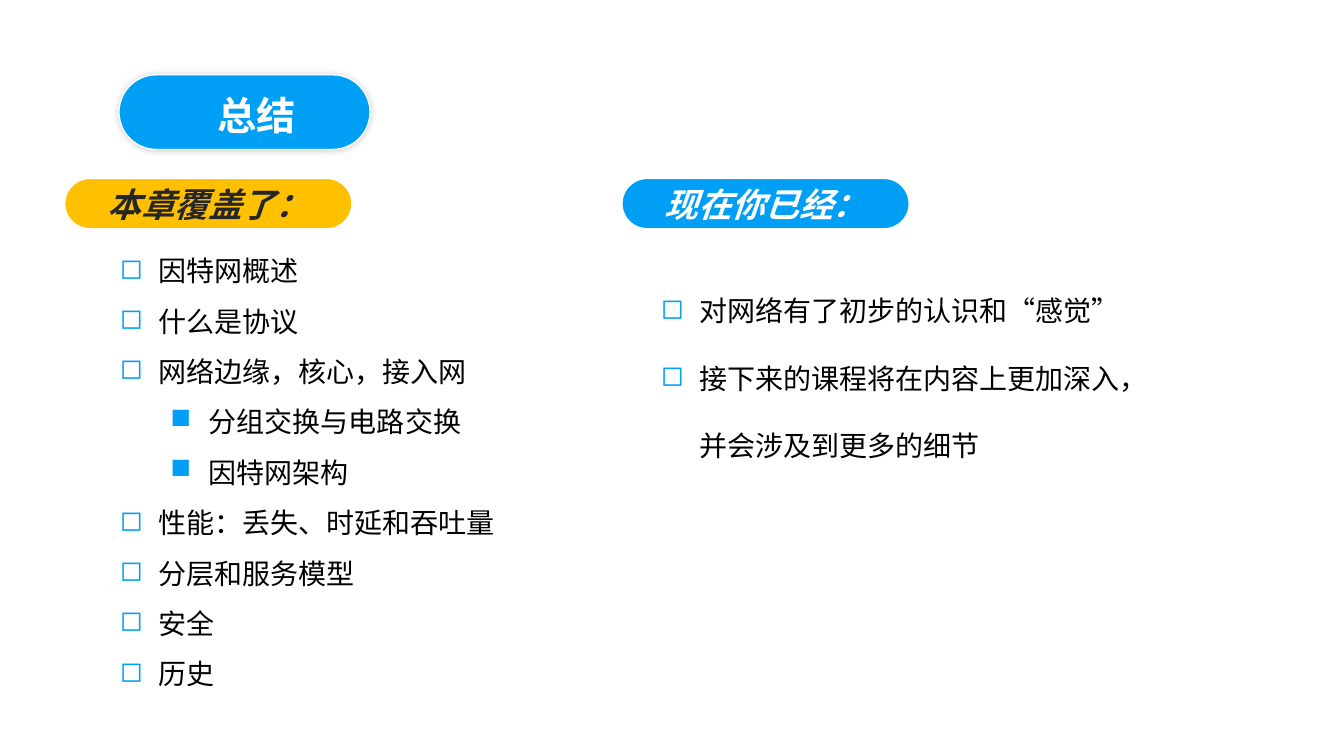
"""Build the chapter summary slide: a title pill and two headed bullet lists."""
from dataclasses import dataclass

from lxml import etree
from pptx import Presentation
from pptx.dml.color import RGBColor
from pptx.enum.shapes import MSO_SHAPE
from pptx.enum.text import MSO_ANCHOR, MSO_AUTO_SIZE, PP_ALIGN
from pptx.oxml import parse_xml
from pptx.oxml.ns import nsdecls, qn
from pptx.util import Inches, Pt

ROUNDED = MSO_SHAPE.ROUNDED_RECTANGLE
TOP, MIDDLE = MSO_ANCHOR.TOP, MSO_ANCHOR.MIDDLE
LEFT, CENTER = PP_ALIGN.LEFT, PP_ALIGN.CENTER
NO_FIT = MSO_AUTO_SIZE.NONE


@dataclass(frozen=True)
class Theme:
    blue: str = "009FF6"
    amber: str = "FFC000"
    white: str = "FFFFFF"
    dark: str = "262626"
    black: str = "000000"
    title_font: str = "Noto Sans CJK JP"
    body_font: str = "Times New Roman"
    title_size: int = 28
    heading_size: int = 24
    body_size: int = 20


theme = Theme()
presentation = Presentation()
presentation.slide_width = Inches(13.33)
presentation.slide_height = Inches(7.5)
COLUMN = presentation.slide_width / 160
ROW = presentation.slide_height / 90
slide = presentation.slides.add_slide(presentation.slide_layouts[5])


def add_pill(left, top, width, height, color):
    pill = slide.shapes.add_shape(
        ROUNDED, int(left * COLUMN), int(top * ROW), int(width * COLUMN), int(height * ROW))
    pill.adjustments[0] = 0.5
    pill.shadow.inherit = False
    pill.fill.solid()
    pill.fill.fore_color.rgb = RGBColor.from_string(color)
    pill.line.color.rgb = RGBColor.from_string(theme.white)
    pill.line.width = Pt(1)
    return pill


def style_font(paragraph, name, size, color, bold=False, italic=False):
    font = paragraph.font
    font.name, font.size = name, Pt(size)
    font.bold, font.italic = bold, italic
    font.color.rgb = RGBColor.from_string(color)


title_pill = add_pill(14.16, 8.9, 29.9, 8.9, theme.blue)
effects = title_pill.element.spPr.find(qn("a:effectLst"))
effects.append(parse_xml(
    f'<a:outerShdw {nsdecls("a")} blurRad="{Pt(5)}" dist="0" dir="0" algn="ctr" rotWithShape="0">'
    f'<a:srgbClr val="{theme.black}"><a:alpha val="20000"/></a:srgbClr></a:outerShdw>'))

title = slide.shapes.title
title.left, title.top = int(24.7 * COLUMN), int(10.3 * ROW)
title.width, title.height = int(15.6 * COLUMN), int(6.8 * ROW)
title.text_frame.text = "总结"
title.text_frame.auto_size = NO_FIT
title.text_frame.vertical_anchor = TOP
title_paragraph = title.text_frame.paragraphs[0]
title_paragraph.alignment = LEFT
style_font(title_paragraph, theme.title_font, theme.title_size, theme.white, bold=True)
title_pill.element.addnext(title.element)

lists = [
    ((13.1, 27.6, 51.4, 55.1), 1.5, [
        (0, "因特网概述"),
        (0, "什么是协议"),
        (0, "网络边缘，核心，接入网"),
        (1, "分组交换与电路交换"),
        (1, "因特网架构"),
        (0, "性能：丢失、时延和吞吐量"),
        (0, "分层和服务模型"),
        (0, "安全"),
        (0, "历史"),
    ]),
    ((77.5, 30.4, 61.8, 25.4), 2.0, [
        (0, "对网络有了初步的认识和“感觉”"),
        (0, "接下来的课程将在内容上更加深入，并会涉及到更多的细节"),
    ]),
]
for (left, top, width, height), spacing, items in lists:
    box = slide.shapes.add_textbox(
        int(left * COLUMN), int(top * ROW), int(width * COLUMN), int(height * ROW))
    frame = box.text_frame
    frame.word_wrap = True
    for index, (level, text) in enumerate(items):
        paragraph = frame.add_paragraph() if index else frame.paragraphs[0]
        paragraph.text = text
        paragraph.level = level
        paragraph.line_spacing = spacing
        properties = paragraph._p.get_or_add_pPr()
        properties.set("marL", str(Inches(0.38 + 0.5 * level)))
        properties.set("indent", str(Inches(-0.38)))
        bullet_color = etree.SubElement(properties, qn("a:buClr"))
        etree.SubElement(bullet_color, qn("a:srgbClr"), val=theme.blue)
        etree.SubElement(properties, qn("a:buChar"), char="◻■"[level])
        style_font(paragraph, theme.body_font, theme.body_size, theme.black)

headings = [
    (7.7, "本章覆盖了：", theme.amber, theme.dark),
    (74.04, "现在你已经：", theme.blue, theme.white),
]
for left, text, fill_color, text_color in headings:
    heading = add_pill(left, 21.24, 34.2, 6, fill_color)
    frame = heading.text_frame
    frame.text = text
    frame.vertical_anchor = MIDDLE
    frame.margin_top = frame.margin_bottom = 0
    paragraph = frame.paragraphs[0]
    paragraph.alignment = CENTER
    style_font(paragraph, theme.body_font, theme.heading_size, text_color, bold=True, italic=True)

presentation.save("out.pptx")
